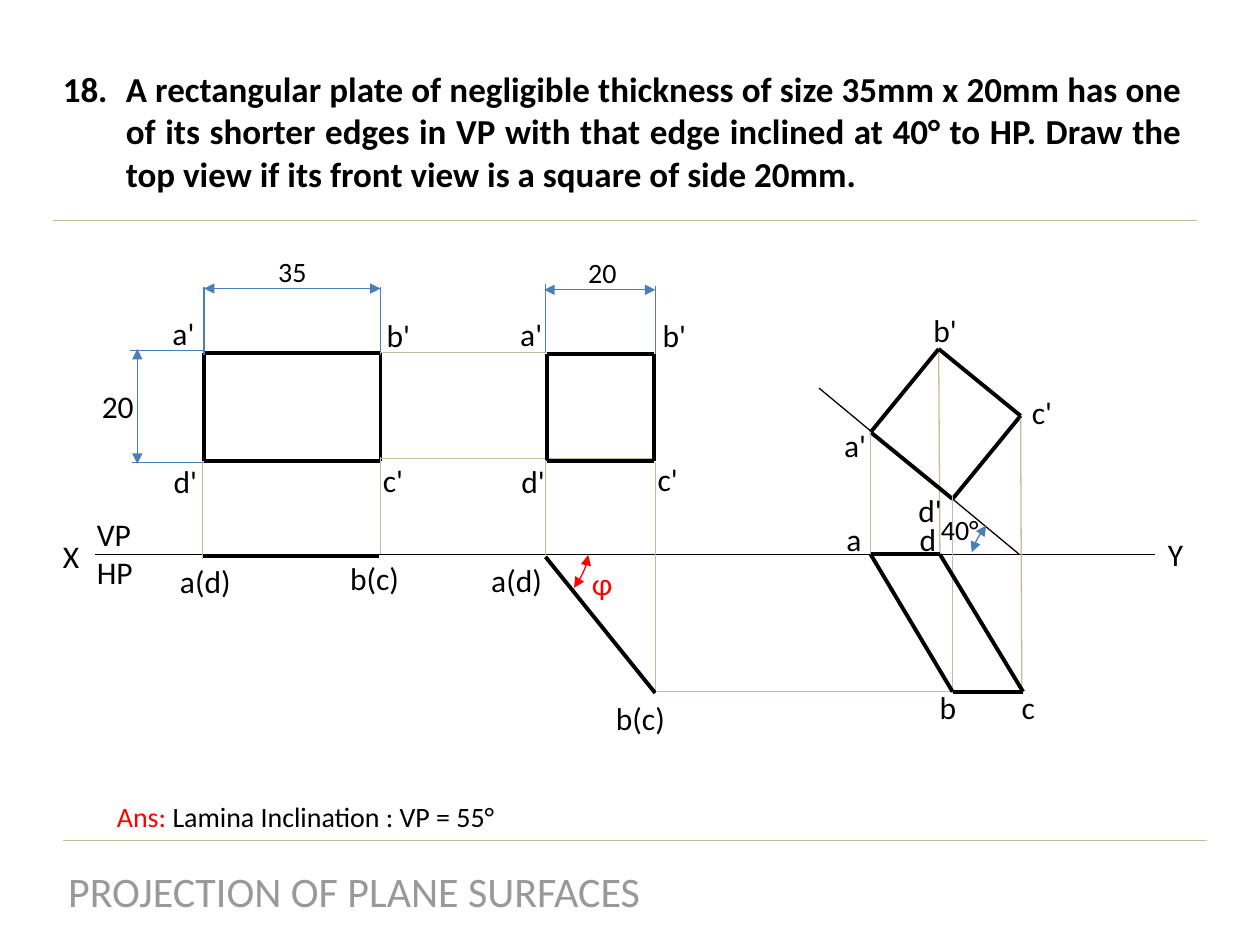
from pptx import Presentation
from pptx.dml.color import RGBColor as Rgb
from pptx.enum.shapes import MSO_CONNECTOR as Conn, MSO_SHAPE as Kind
from pptx.enum.text import PP_ALIGN as Align
from pptx.oxml.ns import qn
from pptx.util import Pt
from lxml.etree import SubElement as Sub

BLACK = Rgb(0, 0, 0)
RED = Rgb(255, 0, 0)
BLUE = Rgb(0x4A, 0x7D, 0xBB)
SAND = Rgb(0xC4, 0xBD, 0x97)
GREY = Rgb(0x99, 0x99, 0x99)
THIN, THICK = 0.75, 2.25
SCALE = 9144


def emu(*vals):
    return [val * SCALE for val in vals]


class Sheet:
    """Draws lines, outlines, arcs and labels on one slide in a shared style."""

    def __init__(self, deck):
        self.font = "Calibri"
        self.slide = deck.slides.add_slide(deck.slide_layouts[6])
        self.shapes = self.slide.shapes

    def stroke(self, shape, color, width, heads):
        shape.line.color.rgb = color
        shape.line.width = Pt(width)
        props = shape.element.spPr
        if heads:
            for end in ("a:headEnd", "a:tailEnd"):
                Sub(props.find(qn("a:ln")), qn(end), type="triangle")
        return props

    def line(self, x1, y1, x2, y2, color=SAND, width=THIN, heads=False, home=None):
        home = home or self.shapes
        wire = home.add_connector(Conn.STRAIGHT, *emu(x1, y1, x2, y2))
        props = self.stroke(wire, color, width, heads)
        Sub(props, qn("a:effectLst"))

    def outline(self, *dots):
        home = self.shapes.add_group_shape().shapes
        for start, end in zip(dots, dots[1:] + dots[:1]):
            self.line(*start, *end, BLACK, THICK, home=home)

    def arc(self, x, y, turn, start, color):
        arc = self.shapes.add_shape(Kind.ARC, *emu(x, y, 26, 66))
        arc.adjustments[0] = start
        arc.adjustments[1] = 0
        arc.rotation = turn
        arc.fill.background()
        arc.shadow.inherit = False
        self.stroke(arc, color, THIN, True)

    def text(self, x, y, w, h, *paras, size=18, bold=False, wrap=False, align=Align.LEFT):
        frame = self.shapes.add_textbox(*emu(x, y, w, h)).text_frame
        frame.word_wrap = wrap
        for num, runs in enumerate(paras):
            para = frame.add_paragraph() if num else frame.paragraphs[0]
            para.alignment = align
            for words, color in runs:
                run = para.add_run()
                run.text = words
                run.font.name = self.font
                run.font.size = Pt(size)
                run.font.bold = bold
                run.font.color.rgb = color
        return frame

    def label(self, words, x, y, w=39, h=40, color=BLACK, size=18):
        self.text(x, y, w, h, [(words, color)], size=size)

    def number(self, frame, start):
        props = frame.paragraphs[0]._p.get_or_add_pPr()
        props.set("marL", str(50 * SCALE))
        props.set("indent", str(-50 * SCALE))
        Sub(props, qn("a:buFont"), typeface="+mj-lt")
        Sub(props, qn("a:buAutoNum"), type="arabicPeriod", startAt=str(start))


def frame_page(page):
    task = page.text(
        40, 49, 908, 111,
        [("A rectangular plate of negligible thickness of size 35mm x 20mm has one "
          "of its shorter edges in VP with that edge inclined at 40° to HP. Draw the "
          "top view if its front view is a square of side 20mm.", BLACK)],
        size=20, bold=True, wrap=True, align=Align.JUSTIFY)
    page.number(task, 18)
    page.line(958, 667, 50, 667)
    page.line(950, 175, 42, 175)
    page.line(917, 440, 75, 440, BLACK)
    page.label("X", 40, 421, 33)
    page.label("Y", 917, 420, 32)
    page.text(67, 404, 49, 71, [("VP", BLACK)], [("HP", BLACK)])
    page.text(42, 682, 478, 50, [("PROJECTION OF PLANE SURFACES", GREY)],
              size=24, align=Align.CENTER)
    page.text(83, 630, 328, 37, [("Ans: ", RED),
              ("Lamina Inclination : VP = 55°", BLACK)], size=16)


def draw_plate(page):
    page.outline((162, 280), (302, 280), (302, 366), (162, 366))
    page.line(109, 277, 109, 368, BLUE, heads=True)
    page.label("20", 71, 302, 46)
    for x, y in ((103, 278), (105, 367)):
        page.line(x, y, 162, y, BLUE)
    for x in (302, 162):
        page.line(x, 228, x, 282, BLUE)
    page.line(302, 229, 162, 229, BLUE, heads=True)
    page.label("35", 211, 197, 43, 37, size=16)
    for mark in (("b'", 297, 246), ("c'", 294, 361), ("d'", 128, 362), ("a'", 127, 244)):
        page.label(*mark)
    page.line(302, 280, 519, 280)
    page.line(302, 364, 520, 364)
    page.line(301, 441, 161, 441, BLACK, THICK)
    page.line(161, 366, 161, 444)
    page.line(302, 363, 302, 440)
    page.label("a(d)", 133, 441, 61)
    page.label("b(c)", 268, 439, 60)


def draw_square(page):
    page.outline((434, 281), (519, 281), (519, 366), (434, 366))
    for mark in (("b'", 516, 246), ("a'", 403, 245), ("c'", 512, 360), ("d'", 404, 362)):
        page.label(*mark)
    for x, y in ((520, 227), (433, 225)):
        page.line(x, y, x, y + 54, BLUE)
    page.line(520, 230, 432, 230, BLUE, heads=True)
    page.label("20", 457, 198, 43, 37, size=16)
    page.line(433, 365, 433, 444)
    page.line(520, 367, 520, 550)
    page.line(520, 550, 433, 442, BLACK, THICK)
    page.label("a(d)", 380, 440, 61)
    page.label("b(c)", 479, 550, 60)
    page.arc(432, 426, 35.5, 170.57, RED)
    page.label("ɸ", 460, 443, 37, color=RED)


def draw_tilted(page):
    page.line(745, 280, 746, 441)
    page.line(809, 440, 650, 308, BLACK)
    page.outline((745, 277), (810, 330), (756, 396), (691, 343))
    for mark in (("b'", 731, 242), ("a'", 660, 333), ("c'", 809, 307), ("d'", 719, 385)):
        page.label(*mark)
    page.line(691, 343, 691, 443)
    page.line(810, 332, 811, 549)
    page.line(756, 393, 756, 550)
    page.line(521, 549, 811, 549)
    page.outline((691, 440), (746, 440), (812, 549), (756, 549))
    for mark in (("b", 736, 541), ("a", 662, 408), ("c", 801, 541), ("d", 720, 408)):
        page.label(*mark, 34)
    page.label("40°", 737, 402, 56, 37, size=16)
    page.arc(780, 392, 217.9, 174.47, BLUE)


def main():
    deck = Presentation()
    deck.slide_width, deck.slide_height = emu(1000, 750)
    page = Sheet(deck)
    for draw in (frame_page, draw_plate, draw_square, draw_tilted):
        draw(page)
    deck.save("out.pptx")


if __name__ == "__main__":
    main()
